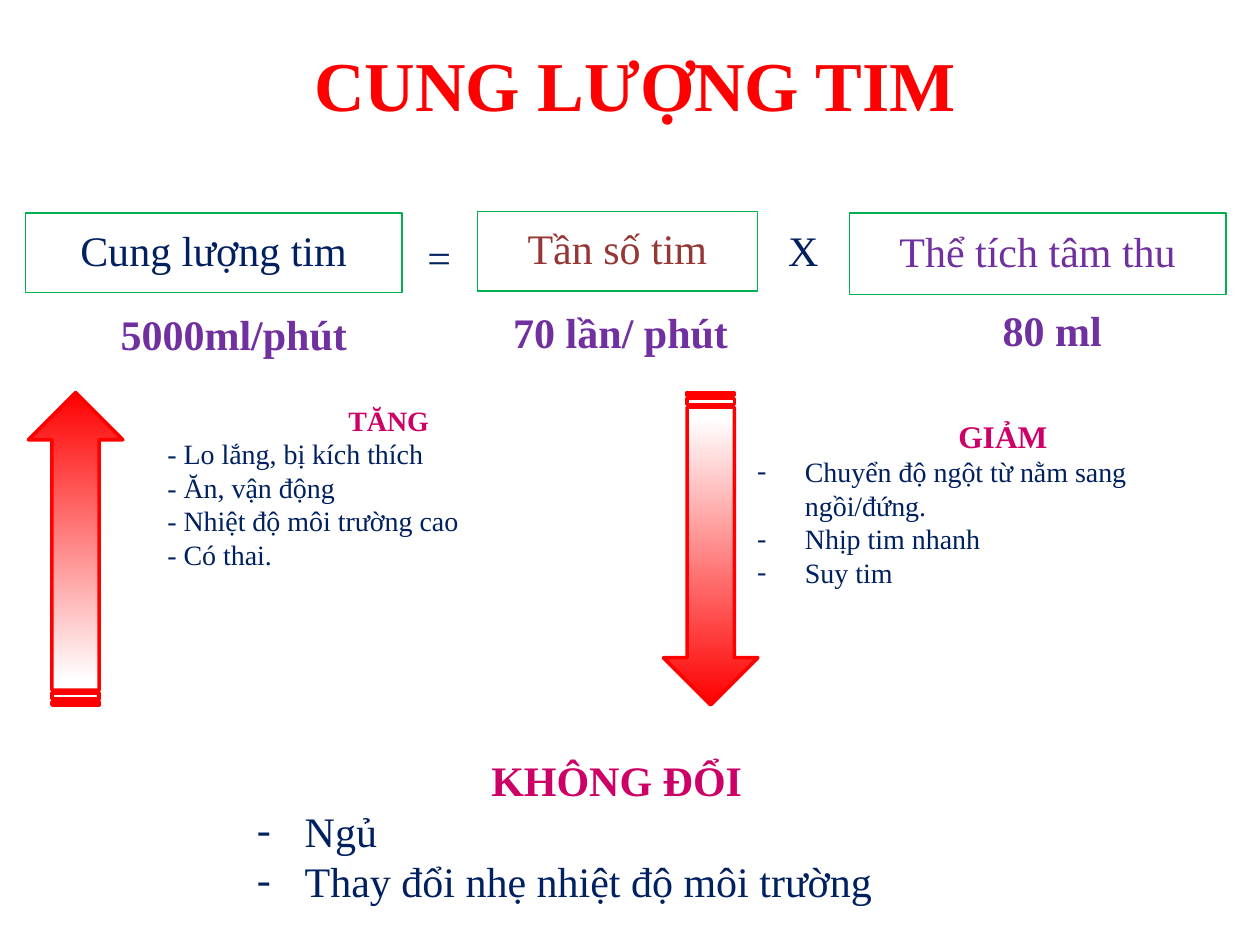
"""Build the cardiac output slide: formula, normal values and causes of change."""
import pptx
import pptx.util
import pptx.dml.color
import pptx.enum.shapes
import pptx.enum.text
import pptx.oxml
import pptx.oxml.ns
from pptx.util import Inches

RED = pptx.dml.color.RGBColor(0xFF, 0x00, 0x00)
WHITE = pptx.dml.color.RGBColor(0xFF, 0xFF, 0xFF)
GREEN = pptx.dml.color.RGBColor(0x00, 0xB0, 0x50)
NAVY = pptx.dml.color.RGBColor(0x00, 0x20, 0x60)
BROWN = pptx.dml.color.RGBColor(0x95, 0x37, 0x35)
PURPLE = pptx.dml.color.RGBColor(0x70, 0x30, 0xA0)
MAGENTA = pptx.dml.color.RGBColor(0xCC, 0x00, 0x66)
FONT = "Times New Roman"
CENTER = pptx.enum.text.PP_ALIGN.CENTER
LEFT = pptx.enum.text.PP_ALIGN.LEFT
MIDDLE = pptx.enum.text.MSO_ANCHOR.MIDDLE
SHAPES = pptx.enum.shapes.MSO_SHAPE


def write(paragraph, text, size, color, bold=False, alignment=CENTER):
    paragraph.alignment = alignment
    run = paragraph.add_run()
    run.text = text
    run.font.name = FONT
    run.font.size = pptx.util.Pt(size)
    run.font.bold = bold
    run.font.color.rgb = color


def indent(paragraph, margin, hanging=0, bullet=None):
    properties = paragraph._p.get_or_add_pPr()
    properties.set("marL", str(Inches(margin)))
    properties.set("indent", str(-Inches(hanging)))
    if bullet:
        namespace = pptx.oxml.ns.nsdecls("a")
        for element in (f'<a:buFont {namespace} typeface="{FONT}"/>',
                        f'<a:buChar {namespace} char="{bullet}"/>'):
            properties.append(pptx.oxml.parse_xml(element))


presentation = pptx.Presentation()
presentation.slide_width = Inches(10)
presentation.slide_height = Inches(7.5)
slide = presentation.slides.add_slide(presentation.slide_layouts[5])

title = slide.shapes.title
title.left, title.top = Inches(0.08), Inches(0.33)
title.width, title.height = Inches(9.92), Inches(0.67)
title.text_frame.vertical_anchor = MIDDLE
write(title.text_frame.paragraphs[0], "CUNG LƯỢNG TIM", 40, RED, True)

formula_terms = [
    ("Cung lượng tim", NAVY, 0.2, 1.69, 2.99, 0.63),
    ("Tần số tim", BROWN, 3.79, 1.68, 2.22, 0.63),
    ("Thể tích tâm thu", PURPLE, 6.74, 1.69, 2.99, 0.65),
]
for text, color, left, top, width, height in formula_terms:
    box = slide.shapes.add_shape(
        SHAPES.RECTANGLE, Inches(left), Inches(top), Inches(width), Inches(height))
    box.shadow.inherit = False
    box.fill.background()
    box.line.color.rgb = GREEN
    box.line.width = pptx.util.Pt(0.75)
    box.text_frame.word_wrap = True
    box.text_frame.vertical_anchor = MIDDLE
    paragraph = box.text_frame.paragraphs[0]
    paragraph.line_spacing = 0.9
    write(paragraph, text, 24, color)

for text, left, top in [("=", 2.94, 1.83), ("X", 5.83, 1.78)]:
    operator = slide.shapes.add_textbox(
        Inches(left), Inches(top), Inches(1.09), Inches(0.48))
    operator.text_frame.word_wrap = True
    paragraph = operator.text_frame.paragraphs[0]
    paragraph.line_spacing = 0.9
    write(paragraph, text, 24, NAVY)

normal_values = [
    ("5000ml/phút", 0.52, 2.4, 2.42),
    ("70 lần/ phút", 3.59, 2.38, 2.42),
    ("80 ml", 7.2, 2.37, 2.05),
]
for text, left, top, width in normal_values:
    value = slide.shapes.add_textbox(
        Inches(left), Inches(top), Inches(width), Inches(0.51))
    value.text_frame.word_wrap = True
    paragraph = value.text_frame.paragraphs[0]
    indent(paragraph, 0.25)
    write(paragraph, text, 24, PURPLE, True)

for left, rotation in [(-0.64, 270), (4.4, 90)]:
    arrow = slide.shapes.add_shape(
        SHAPES.STRIPED_RIGHT_ARROW, Inches(left), Inches(3.98), Inches(2.48), Inches(0.75))
    arrow.rotation = rotation
    arrow.shadow.inherit = False
    arrow.fill.gradient()
    arrow.fill.gradient_angle = 180
    for stop, color, position in zip(arrow.fill.gradient_stops, (RED, WHITE), (0, 0.92)):
        stop.color.rgb = color
        stop.position = position
    arrow.line.color.rgb = RED
    arrow.line.width = pptx.util.Pt(2)

cause_lists = [
    ("TĂNG", 16, 16, None, (0.98, 3.15, 3.96, 1.75),
     ["- Lo lắng, bị kích thích", "- Ăn, vận động",
      "- Nhiệt độ môi trường cao", "- Có thai."]),
    ("GIẢM", 18, 16, "-", (5.67, 3.26, 4.33, 1.78),
     ["Chuyển độ ngột từ nằm sang ngồi/đứng.", "Nhịp tim nhanh", "Suy tim"]),
    ("KHÔNG ĐỔI", 24, 24, "-", (1.7, 5.94, 6.14, 1.31),
     ["Ngủ", "Thay đổi nhẹ nhiệt độ môi trường"]),
]
for heading, heading_size, item_size, bullet, place, items in cause_lists:
    causes = slide.shapes.add_textbox(*map(Inches, place))
    causes.text_frame.word_wrap = True
    paragraph = causes.text_frame.paragraphs[0]
    indent(paragraph, 0.25)
    write(paragraph, heading, heading_size, MAGENTA, True)
    for item in items:
        paragraph = causes.text_frame.add_paragraph()
        if bullet:
            indent(paragraph, 0.62, 0.38, bullet)
        else:
            indent(paragraph, 0.25)
        write(paragraph, item, item_size, NAVY, alignment=LEFT)

presentation.save("out.pptx")
